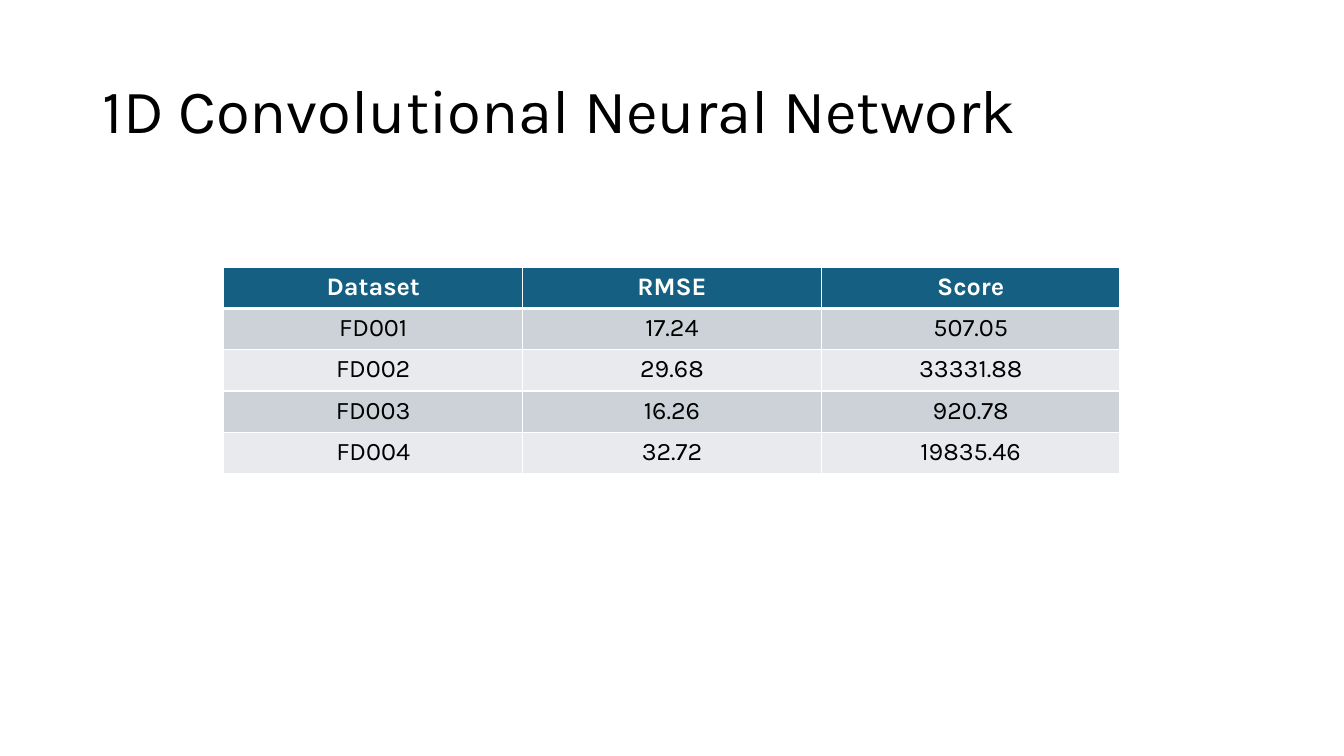
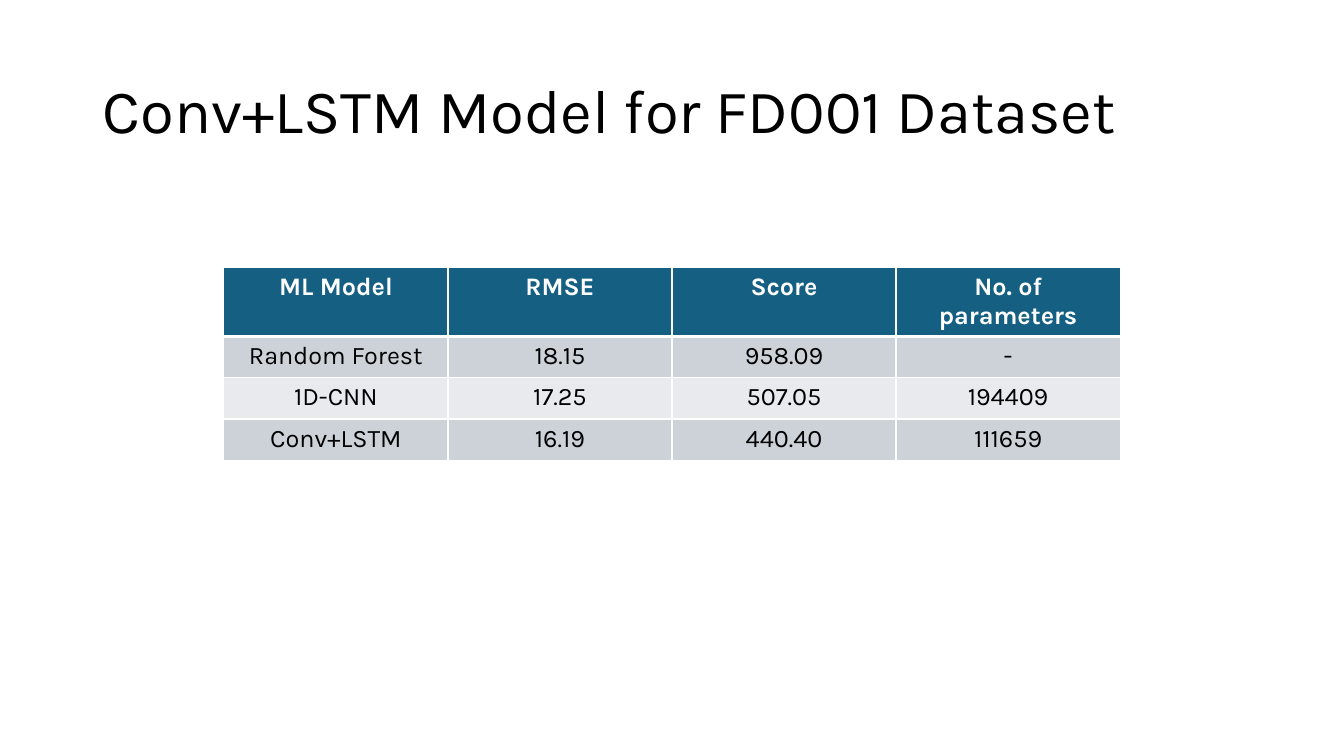
import pptx
import pptx.dml.color
import pptx.enum.text
import pptx.oxml
import pptx.oxml.ns
import pptx.util

Inches = pptx.util.Inches
Pt = pptx.util.Pt

RESULTS = [
    ("1D Convolutional Neural Network", [
        ("Dataset", "RMSE", "Score"),
        ("FD001", "17.24", "507.05"),
        ("FD002", "29.68", "33331.88"),
        ("FD003", "16.26", "920.78"),
        ("FD004", "32.72", "19835.46"),
    ]),
    ("Conv+LSTM Model for FD001 Dataset", [
        ("ML Model", "RMSE", "Score", "No. of parameters"),
        ("Random Forest", "18.15", "958.09", "-"),
        ("1D-CNN", "17.25", "507.05", "194409"),
        ("Conv+LSTM", "16.19", "440.40", "111659"),
    ]),
]

COLORS = {
    "header": "156082",
    "odd_row": "CCD2D8",
    "even_row": "E8EAED",
    "rule": "FFFFFF",
    "header_text": "FFFFFF",
    "text": "000000",
}
FONT = "Karla"
TABLE_LEFT, TABLE_TOP, TABLE_WIDTH = Inches(2.22), Inches(2.65), Inches(8.89)
ROW_HEIGHT = Inches(0.41)
THIN, THICK = Pt(1), Pt(3)


def rgb(name):
    return pptx.dml.color.RGBColor.from_string(COLORS[name])


def add_text(paragraph, text, size, color, bold=False):
    run = paragraph.add_run()
    run.text = text
    run.font.name = FONT
    run.font.size = Pt(size)
    run.font.bold = bold
    run.font.color.rgb = rgb(color)


def set_borders(cell, top, bottom):
    properties = cell._tc.get_or_add_tcPr()
    widths = {"lnL": THIN, "lnR": THIN, "lnT": top, "lnB": bottom}
    for position, (side, width) in enumerate(widths.items()):
        border = pptx.oxml.parse_xml(
            f'<a:{side} {pptx.oxml.ns.nsdecls("a")} w="{int(width)}"><a:solidFill>'
            f'<a:srgbClr val="{COLORS["rule"]}"/></a:solidFill></a:{side}>')
        properties.insert(position, border)


def add_title(slide, text):
    title = slide.shapes.title
    title.left, title.top = Inches(0.92), Inches(0.4)
    title.width, title.height = Inches(11.5), Inches(1.45)
    title.text_frame.vertical_anchor = pptx.enum.text.MSO_ANCHOR.MIDDLE
    paragraph = title.text_frame.paragraphs[0]
    paragraph.alignment = pptx.enum.text.PP_ALIGN.LEFT
    paragraph.line_spacing = 0.9
    add_text(paragraph, text, 44, "text")


def add_results(slide, rows):
    columns = len(rows[0])
    table = slide.shapes.add_table(
        len(rows), columns, TABLE_LEFT, TABLE_TOP,
        TABLE_WIDTH, ROW_HEIGHT * len(rows)).table
    for column in table.columns:
        column.width = TABLE_WIDTH // columns
    for r, values in enumerate(rows):
        header = r == 0
        fill = "header" if header else ("odd_row" if r % 2 else "even_row")
        for c, value in enumerate(values):
            cell = table.cell(r, c)
            cell.fill.solid()
            cell.fill.fore_color.rgb = rgb(fill)
            set_borders(cell, THICK if r == 1 else THIN, THICK if header else THIN)
            paragraph = cell.text_frame.paragraphs[0]
            paragraph.alignment = pptx.enum.text.PP_ALIGN.CENTER
            add_text(paragraph, value, 18, "header_text" if header else "text", header)


def main():
    deck = pptx.Presentation()
    deck.slide_width, deck.slide_height = Inches(13.33), Inches(7.5)
    for title, rows in RESULTS:
        slide = deck.slides.add_slide(deck.slide_layouts[5])
        add_title(slide, title)
        add_results(slide, rows)
    deck.save("out.pptx")


if __name__ == "__main__":
    main()
